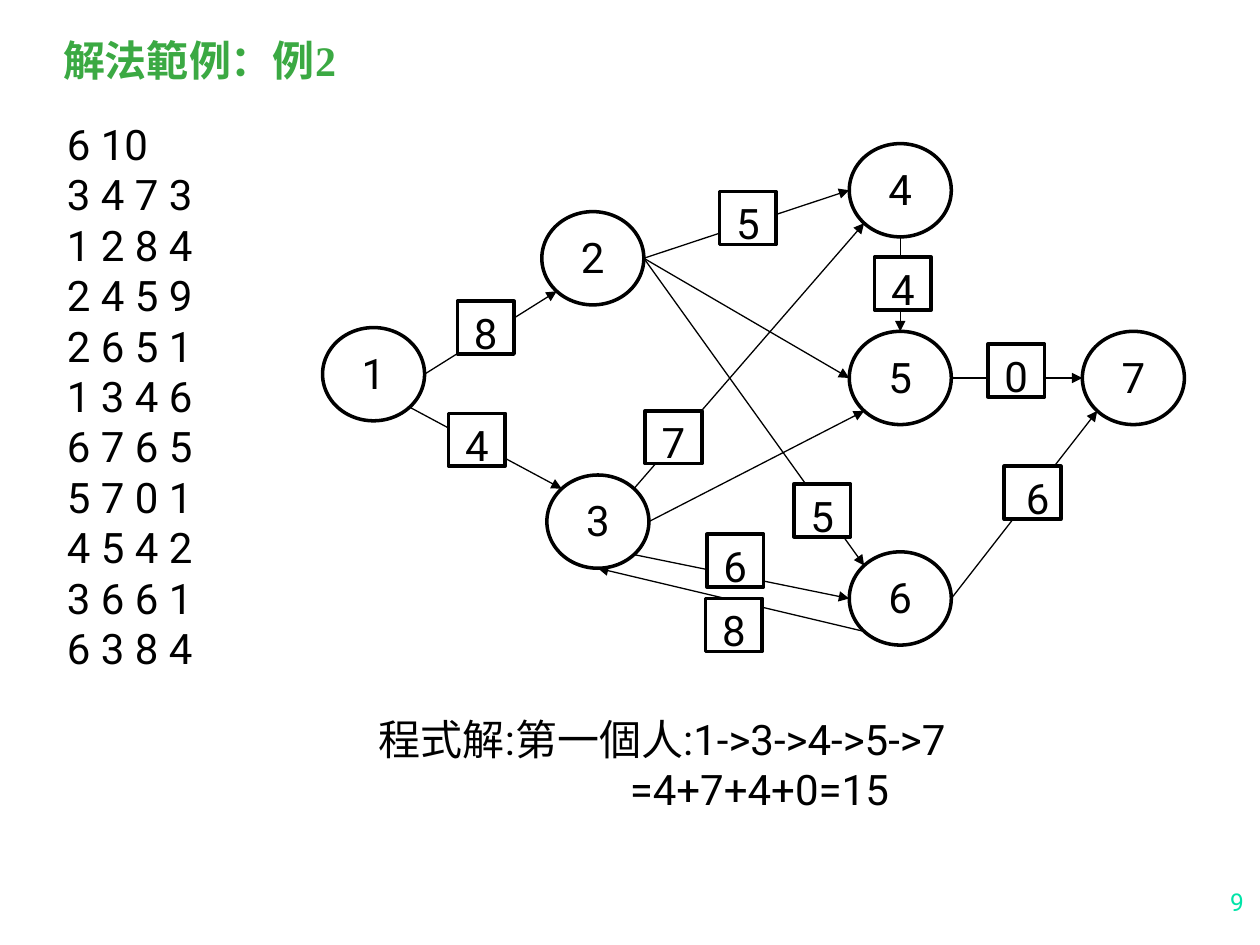
from pptx import Presentation, util as u
from pptx.dml.color import RGBColor
from pptx.enum import shapes, text
from pptx.oxml.ns import qn
from lxml import etree

COLORS = {"ink": "000000", "paper": "FFFFFF", "title": "3BA943", "number": "00E4A8"}
TITLE = "解法範例：例2"
INPUT_LINES = [
    "6 10", "3 4 7 3", "1 2 8 4", "2 4 5 9", "2 6 5 1", "1 3 4 6",
    "6 7 6 5", "5 7 0 1", "4 5 4 2", "3 6 6 1", "6 3 8 4",
]
ANSWER_LINES = ["程式解:第一個人:1->3->4->5->7", "=4+7+4+0=15"]
PAGE_NUMBER = "9"

NODE_SIZE = (0.81, 0.74)
NODES = {
    "1": (2.56, 2.6), "5": (6.74, 2.63), "3": (4.34, 3.77), "4": (6.74, 1.14),
    "6": (6.74, 4.38), "2": (4.3, 1.68), "7": (8.59, 2.63),
}
COST_SIZE = (0.45, 0.42)
EDGES = [
    ("1", "right", "2", "bottom left", "8", (3.63, 2.39)),
    ("2", "right", "5", "left", None, None),
    ("1", "bottom right", "3", "top left", "4", (3.56, 3.28)),
    ("3", "right", "5", "bottom left", None, None),
    ("3", "top right", "4", "bottom left", "7", (5.12, 3.26)),
    ("2", "right", "4", "left", "5", (5.71, 1.52)),
    ("2", "right", "6", "top left", "5", (6.3, 3.84)),
    ("6", "right", "7", "bottom left", "6", (7.97, 3.7)),
    ("5", "right", "7", "left", "0", (7.84, 2.73)),
    ("4", "bottom", "5", "top", "4", (6.94, 2.04)),
    ("3", "bottom right", "6", "left", "6", (5.61, 4.24)),
    ("6", "bottom left", "3", "bottom", "8", (5.6, 4.75)),
]
DIRECTIONS = {"left": (-1, 0), "right": (1, 0), "top": (0, -1), "bottom": (0, 1)}


def rgb(name):
    return RGBColor.from_string(COLORS[name])


def write(frame, lines, size=24, font="Roboto", color="ink", bold=False,
          align=text.PP_ALIGN.LEFT, anchor=text.MSO_ANCHOR.TOP, wrap=True,
          spacing=1.0, indents=(), left_inset=0.1):
    frame.word_wrap = wrap
    frame.auto_size = text.MSO_AUTO_SIZE.NONE
    frame.vertical_anchor = anchor
    frame.margin_left, frame.margin_right = u.Inches(left_inset), u.Inches(0.1)
    frame.margin_top = frame.margin_bottom = u.Inches(0.05)
    for i, line in enumerate(lines):
        paragraph = frame.paragraphs[0] if i == 0 else frame.add_paragraph()
        paragraph.text = line
        properties = paragraph._p.get_or_add_pPr()
        properties.set("marL", str(u.Inches(indents[i] if indents else 0)))
        properties.set("indent", "0")
        etree.SubElement(properties, qn("a:buNone"))
        paragraph.alignment = align
        paragraph.line_spacing = spacing
        paragraph.space_before = paragraph.space_after = u.Pt(0)
        paragraph.font.size = u.Pt(size)
        paragraph.font.name = font
        paragraph.font.bold = bold
        paragraph.font.color.rgb = rgb(color)


def place(shape, *box):
    shape.left, shape.top, shape.width, shape.height = map(u.Inches, box)


def outlined(slide, kind, position, size, label, **style):
    shape = slide.shapes.add_shape(kind, *map(u.Inches, position + size))
    shape.shadow.inherit = False
    shape.fill.solid()
    shape.fill.fore_color.rgb = rgb("paper")
    shape.line.color.rgb = rgb("ink")
    shape.line.width = u.Pt(2)
    write(shape.text_frame, [label], align=text.PP_ALIGN.CENTER, wrap=False, **style)


def rim_point(node, side):
    steps = [DIRECTIONS[word] for word in side.split()]
    reach = 0.5 / len(steps) ** 0.5
    return [
        u.Inches(start + extent * (0.5 + reach * sum(step[axis] for step in steps)))
        for axis, (start, extent) in enumerate(zip(NODES[node], NODE_SIZE))
    ]


def arrow(slide, start, end):
    line = slide.shapes.add_connector(shapes.MSO_CONNECTOR.STRAIGHT, *start, *end)
    line.line.color.rgb = rgb("ink")
    line.line.width = u.Pt(0.75)
    etree.SubElement(line.line._get_or_add_ln(), qn("a:tailEnd"), type="triangle")
    etree.SubElement(line._element.spPr, qn("a:effectLst"))


def main():
    deck = Presentation()
    deck.slide_width, deck.slide_height = u.Inches(10), u.Inches(7.5)
    slide = deck.slides.add_slide(deck.slide_layouts[1])

    title, input_data = slide.shapes.title, slide.placeholders[1]
    place(title, 0.4, 0.27, 2.9, 0.47)
    write(title.text_frame, [TITLE], font="Times New Roman", color="title",
          bold=True, spacing=0.9)
    place(input_data, 0.43, 0.89, 2.05, 4.5)
    write(input_data.text_frame, INPUT_LINES)

    for node, position in NODES.items():
        outlined(slide, shapes.MSO_SHAPE.OVAL, position, NODE_SIZE, node)

    for source, source_side, target, target_side, cost, position in EDGES:
        arrow(slide, rim_point(source, source_side), rim_point(target, target_side))
        if cost:
            inset = 0.18 if (source, target) == ("6", "7") else 0.1
            outlined(slide, shapes.MSO_SHAPE.RECTANGLE, position, COST_SIZE, cost,
                     left_inset=inset)

    answer = slide.shapes.add_textbox(*map(u.Inches, (2.91, 5.61, 6.84, 1.3)))
    write(answer.text_frame, ANSWER_LINES, indents=(0, 1.99))
    number = slide.shapes.add_textbox(*map(u.Inches, (9.02, 6.82, 0.95, 0.5)))
    write(number.text_frame, [PAGE_NUMBER], size=14, color="number",
          align=text.PP_ALIGN.RIGHT, anchor=text.MSO_ANCHOR.BOTTOM)
    deck.save("out.pptx")


if __name__ == "__main__":
    main()
